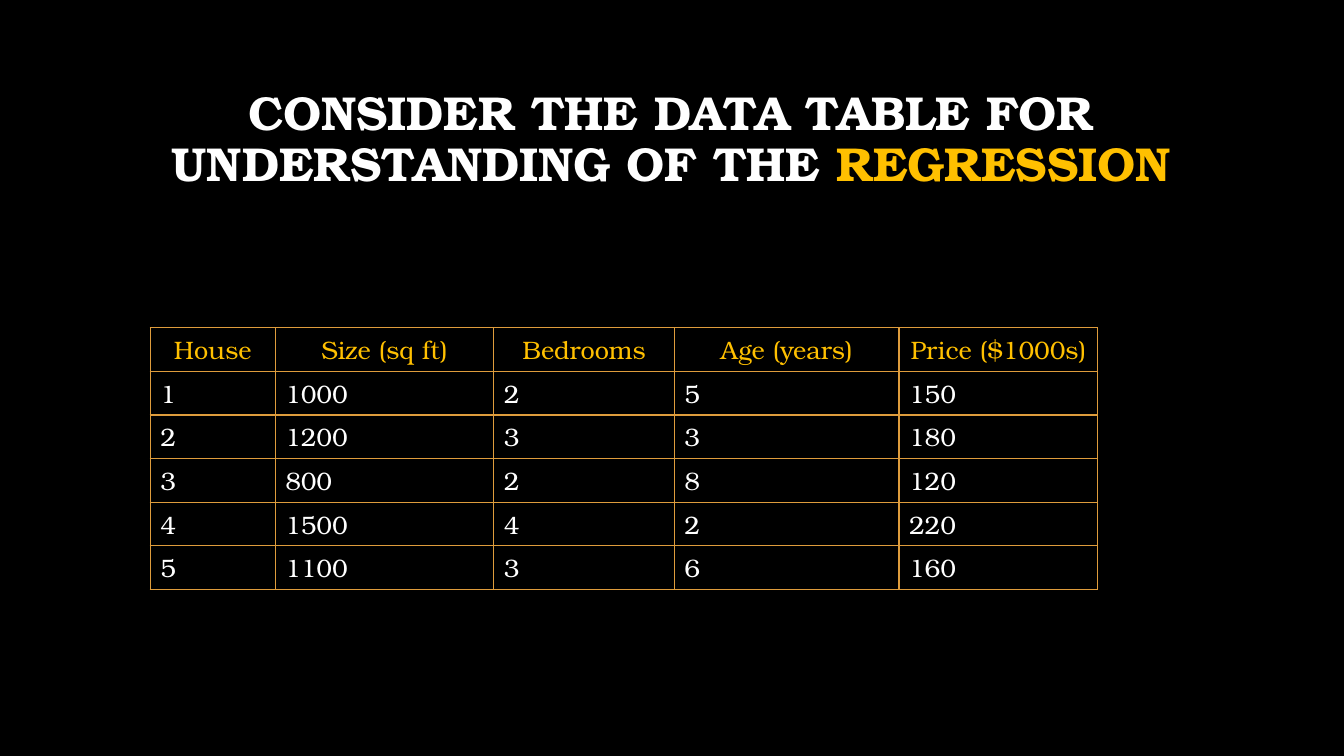
from dataclasses import dataclass

from lxml.etree import SubElement
from pptx import Presentation
from pptx.dml.color import RGBColor
from pptx.enum.text import MSO_ANCHOR as Anchor, PP_ALIGN as Align
from pptx.oxml.ns import qn
from pptx.slide import Slide
from pptx.table import _Cell as Cell
from pptx.text.text import _Run as Run
from pptx.util import Pt


@dataclass(frozen=True)
class Theme:
    font: str = "TeX Gyre Bonum"
    background: str = "000000"
    text: str = "FFFFFF"
    accent: str = "FFC000"
    border: str = "DE9C3C"
    title_size: float = 34
    table_size: float = 18
    border_width: float = 1


@dataclass(frozen=True)
class Column:
    heading: str
    width: float
    values: tuple[int, ...]


THEME = Theme()
ROW_HEIGHT = 31.2
HOUSE_COLUMNS = (
    Column("House", 89.28, (1, 2, 3, 4, 5)),
    Column("Size (sq ft)", 156.24, (1000, 1200, 800, 1500, 1100)),
    Column("Bedrooms", 128.88, (2, 3, 2, 4, 3)),
    Column("Age (years)", 160.56, (5, 3, 8, 2, 6)),
    Column("Price ($1000s)", 141.84, (150, 180, 120, 220, 160)),
)


def format_run(run: Run, size: float, color: str, bold: bool = False) -> None:
    run.font.name = THEME.font
    run.font.size = Pt(size)
    run.font.bold = bold
    run.font.color.rgb = RGBColor.from_string(color)


def add_title(slide: Slide) -> None:
    shape = slide.shapes.add_textbox(Pt(72), Pt(48.24), Pt(815.04), Pt(104.4))
    text_frame = shape.text_frame
    text_frame.word_wrap = True
    text_frame.vertical_anchor = Anchor.MIDDLE
    paragraph = text_frame.paragraphs[0]
    paragraph.alignment = Align.CENTER
    paragraph.line_spacing = 0.9
    for text, color in (
        ("CONSIDER THE DATA TABLE FOR UNDERSTANDING OF THE ", THEME.text),
        ("REGRESSION", THEME.accent),
    ):
        run = paragraph.add_run()
        run.text = text
        format_run(run, THEME.title_size, color, bold=True)


def add_borders(cell: Cell) -> None:
    properties = cell._tc.get_or_add_tcPr()
    for side in ("lnL", "lnR", "lnT", "lnB"):
        line = SubElement(properties, qn(f"a:{side}"), w=str(Pt(THEME.border_width)))
        fill = SubElement(line, qn("a:solidFill"))
        SubElement(fill, qn("a:srgbClr"), val=THEME.border)


def fill_cell(cell: Cell, text: str, color: str, alignment: Align) -> None:
    add_borders(cell)
    cell.fill.background()
    cell.vertical_anchor = Anchor.MIDDLE
    paragraph = cell.text_frame.paragraphs[0]
    paragraph.text = text
    paragraph.alignment = alignment
    format_run(paragraph.runs[0], THEME.table_size, color)


def add_house_table(slide: Slide, columns: tuple[Column, ...]) -> None:
    row_count = len(columns[0].values) + 1
    table = slide.shapes.add_table(
        row_count, len(columns), Pt(107.28), Pt(234),
        Pt(sum(column.width for column in columns)), Pt(row_count * ROW_HEIGHT),
    ).table
    table.first_row = False
    table.horz_banding = False
    for row in table.rows:
        row.height = Pt(ROW_HEIGHT)
    for index, column in enumerate(columns):
        table.columns[index].width = Pt(column.width)
        fill_cell(table.cell(0, index), column.heading, THEME.accent, Align.CENTER)
        for row_index, value in enumerate(column.values, start=1):
            fill_cell(table.cell(row_index, index), str(value), THEME.text, Align.LEFT)


def main() -> None:
    presentation = Presentation()
    presentation.slide_width = Pt(960)
    presentation.slide_height = Pt(540)
    slide = presentation.slides.add_slide(presentation.slide_layouts[6])

    # Black background
    background = slide.background.fill
    background.solid()
    background.fore_color.rgb = RGBColor.from_string(THEME.background)

    # Title and data table
    add_title(slide)
    add_house_table(slide, HOUSE_COLUMNS)
    presentation.save("out.pptx")


if __name__ == "__main__":
    main()
